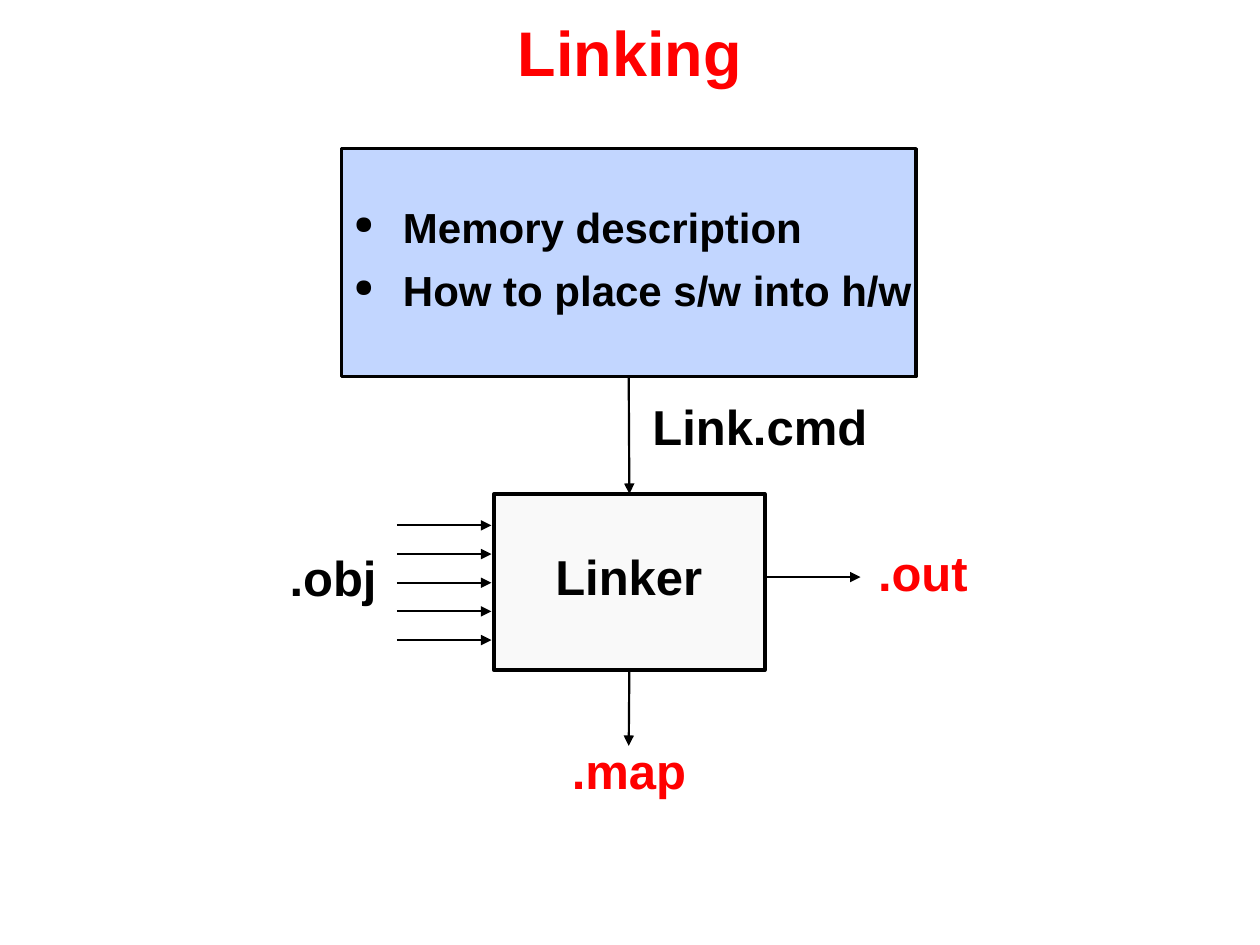
from lxml import etree
from pptx import Presentation
from pptx.dml.color import RGBColor
from pptx.enum import shapes, text
from pptx.oxml import ns
from pptx.util import Inches, Pt

BLACK = RGBColor(0x00, 0x00, 0x00)
RED = RGBColor(0xFF, 0x00, 0x00)
PALE_BLUE = RGBColor(0xC2, 0xD6, 0xFF)
PALE_GREY = RGBColor(0xF9, 0xF9, 0xF9)

TITLE = "Linking"
COMMAND_POINTS = ["Memory description", "How to place s/w into h/w"]
# text, left, top, width, colour
LABELS = [
    ("Linker", 4.31, 4.38, 1.37, BLACK),
    ("Link.cmd", 5.08, 3.19, 1.91, BLACK),
    (".map", 4.44, 5.92, 1.11, RED),
    (".obj", 2.2, 4.39, 0.89, BLACK),
    (".out", 6.87, 4.35, 0.91, RED),
]
LABEL_HEIGHT = 0.47
COMMAND_BOX = (2.71, 1.18, 4.56, 1.81)
LINKER_BOX = (3.92, 3.92, 2.15, 1.4)
OBJ_ARROWS, OBJ_TOP, OBJ_PITCH = 5, 4.17, 0.2275
BULLET_INDENT = 0.39


def add_child(parent, tag, **attributes):
    child = etree.SubElement(parent, ns.qn(tag))
    for key, value in attributes.items():
        child.set(key, value)
    return child


def style(paragraph, size, color):
    paragraph.font.name = "Arial"
    paragraph.font.size = Pt(size)
    paragraph.font.bold = True
    paragraph.font.color.rgb = color


def add_box(slide, place, fill):
    box = slide.shapes.add_shape(shapes.MSO_SHAPE.RECTANGLE, *map(Inches, place))
    box.shadow.inherit = False
    box.fill.solid()
    box.fill.fore_color.rgb = fill
    box.line.color.rgb = BLACK
    box.line.width = Pt(2)
    return box


def add_label(slide, words, place, size, color):
    label = slide.shapes.add_textbox(*map(Inches, place))
    paragraph = label.text_frame.paragraphs[0]
    paragraph.text = words
    style(paragraph, size, color)
    return label.text_frame


def add_arrow(slide, x1, y1, x2, y2):
    arrow = slide.shapes.add_connector(
        shapes.MSO_CONNECTOR.STRAIGHT, *map(Inches, (x1, y1, x2, y2)))
    arrow.line.color.rgb = BLACK
    arrow.line.width = Pt(1.25)
    add_child(arrow.line._get_or_add_ln(), "a:tailEnd", type="triangle")
    add_child(arrow._element.spPr, "a:effectLst")
    return arrow


def add_points(box, points):
    frame = box.text_frame
    frame.word_wrap = True
    frame.margin_right = 0
    frame.vertical_anchor = text.MSO_ANCHOR.MIDDLE
    for number, point in enumerate(points):
        paragraph = frame.add_paragraph() if number else frame.paragraphs[0]
        paragraph.text = point
        paragraph.alignment = text.PP_ALIGN.LEFT
        paragraph.line_spacing = 0.8
        if number:
            paragraph.space_before = Pt(13)
        properties = paragraph._p.get_or_add_pPr()
        properties.set("marL", str(Inches(BULLET_INDENT)))
        properties.set("indent", str(-Inches(BULLET_INDENT)))
        bullet_color = add_child(properties, "a:buClr")
        add_child(bullet_color, "a:srgbClr", val=str(BLACK))
        add_child(properties, "a:buSzPct", val="60000")
        add_child(properties, "a:buChar", char="●")
        style(paragraph, 24, BLACK)


def main():
    deck = Presentation()
    deck.slide_width, deck.slide_height = Inches(10), Inches(7.5)
    slide = deck.slides.add_slide(deck.slide_layouts[6])

    title = add_label(slide, TITLE, (0, 0, 10, 0.81), 36, RED)
    title.word_wrap = True
    title.vertical_anchor = text.MSO_ANCHOR.MIDDLE
    title.paragraphs[0].alignment = text.PP_ALIGN.CENTER

    command_box = add_box(slide, COMMAND_BOX, PALE_BLUE)
    add_points(command_box, COMMAND_POINTS)
    linker_box = add_box(slide, LINKER_BOX, PALE_GREY)

    for words, left, top, width, color in LABELS:
        label = add_label(slide, words, (left, top, width, LABEL_HEIGHT), 28, color)
        label.word_wrap = False
        label.paragraphs[0].line_spacing = 0.8

    command_arrow = add_arrow(slide, 4.99, 2.99, 4.99, 3.92)
    command_arrow.begin_connect(command_box, 2)
    command_arrow.end_connect(linker_box, 0)
    map_arrow = add_arrow(slide, 4.99, 5.32, 4.99, 5.92)
    map_arrow.begin_connect(linker_box, 2)
    add_arrow(slide, 6.08, 4.58, 6.83, 4.58)
    for number in range(OBJ_ARROWS):
        y = OBJ_TOP + number * OBJ_PITCH
        add_arrow(slide, 3.15, y, 3.9, y)

    deck.save("out.pptx")


if __name__ == "__main__":
    main()
